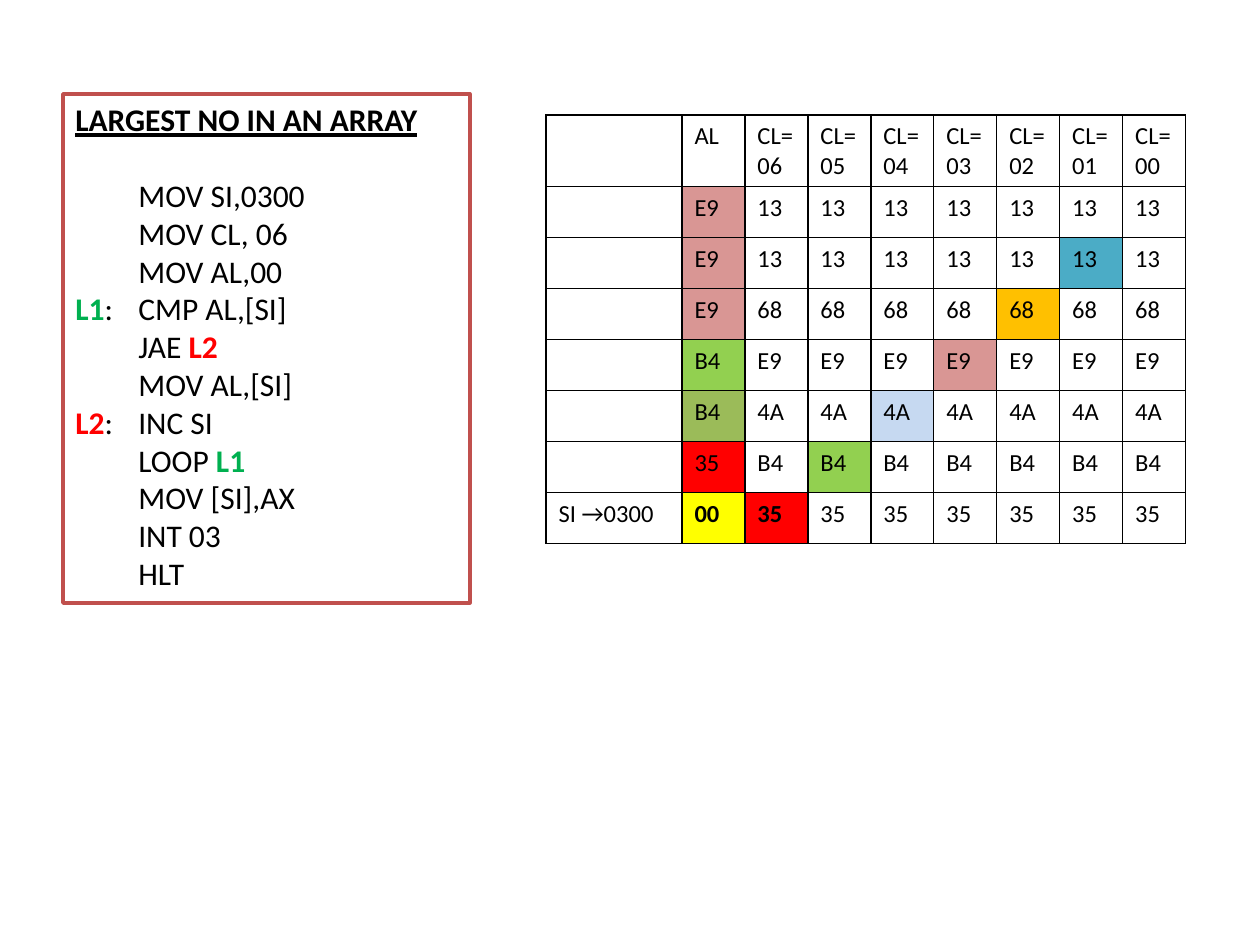
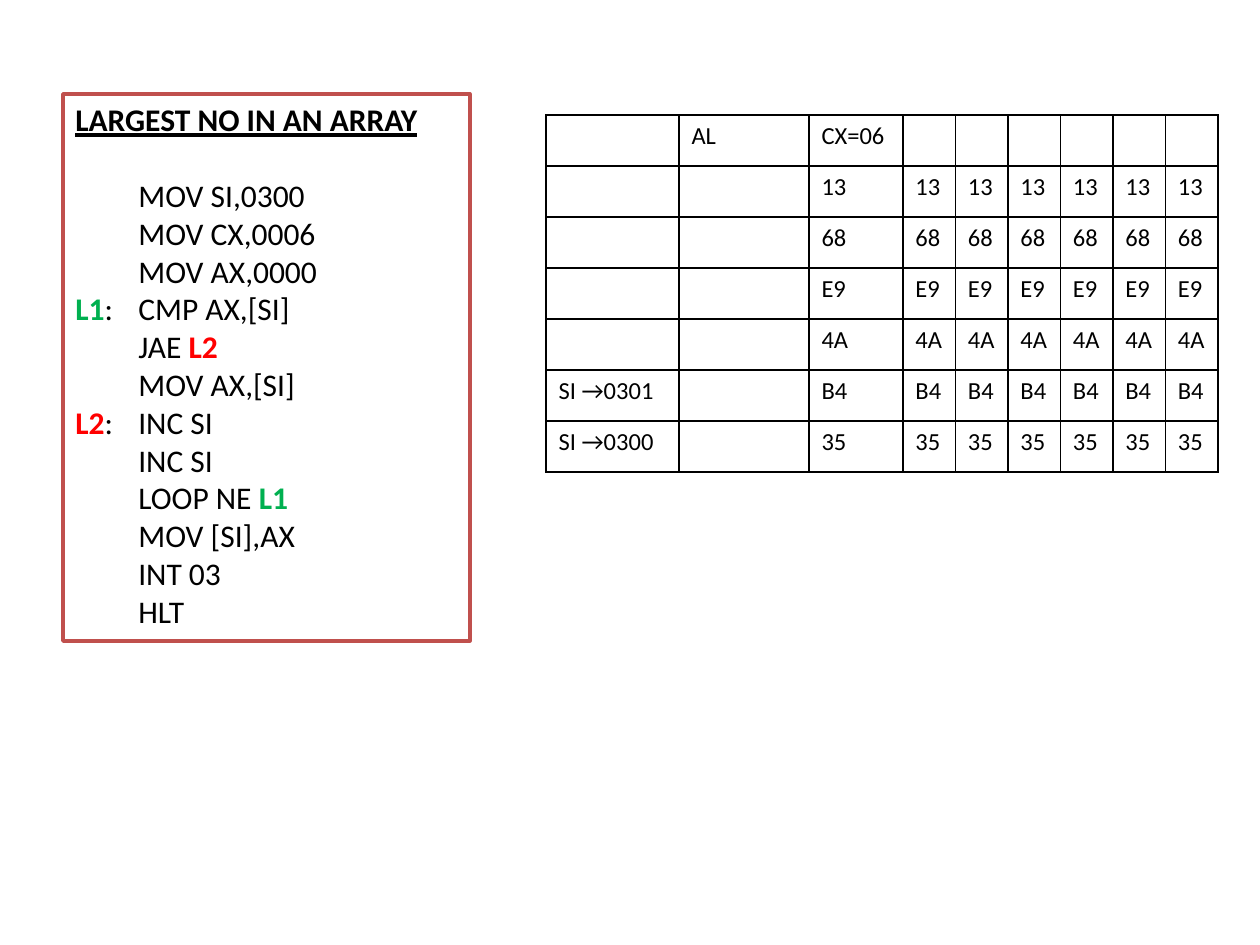
from lxml import etree
from pptx import Presentation, util as u
from pptx.dml.color import RGBColor
from pptx.enum import text
from pptx.oxml.ns import qn

PIXEL = 914400 // 126
FONT = "Calibri"
BLACK, WHITE, FRAME = "000000", "FFFFFF", "C0504D"
ROSE, LIME, RED = "D99694", "92D050", "FF0000"
LABELS = {"L1": "00B050", "L2": RED}
TITLE = "LARGEST NO IN AN ARRAY"
BOX_LEFT, BOX_TOP, BOX_WIDTH = 63, 94, 407
TABLE_LEFT, TABLE_TOP, ROW_HEIGHT = 546, 115, 51
LINE_HEIGHT, BOX_PADDING = 38, 15

SLIDES = [
    {
        "code": [
            ("", "MOV SI,0300", ""),
            ("", "MOV CL, 06", ""),
            ("", "MOV AL,00", ""),
            ("L1", "CMP AL,[SI]", ""),
            ("", "JAE ", "L2"),
            ("", "MOV AL,[SI]", ""),
            ("L2", "INC SI", ""),
            ("", "LOOP ", "L1"),
            ("", "MOV [SI],AX", ""),
            ("", "INT 03", ""),
            ("", "HLT", ""),
        ],
        "header": ["", "AL"] + [f"CL=\n{count:02}" for count in range(6, -1, -1)],
        "rows": [
            ("", "E9", "13"),
            ("", "E9", "13"),
            ("", "E9", "68"),
            ("", "B4", "E9"),
            ("", "B4", "4A"),
            ("", "35", "B4"),
            ("SI →0300", "00", "35"),
        ],
        "widths": [136] + [63] * 8,
        "header_height": 71,
        "fills": {
            (1, 1): ROSE, (2, 1): ROSE, (3, 1): ROSE, (4, 1): LIME,
            (5, 1): "9BBB59", (6, 1): RED, (7, 1): "FFFF00",
            (2, 7): "4BACC6", (3, 6): "FFC000", (4, 5): ROSE,
            (5, 4): "C6D9F1", (6, 3): LIME, (7, 2): RED,
        },
        "bold": {(7, 1), (7, 2)},
    },
    {
        "code": [
            ("", "MOV SI,0300", ""),
            ("", "MOV CX,0006", ""),
            ("", "MOV AX,0000", ""),
            ("L1", "CMP AX,[SI]", ""),
            ("", "JAE ", "L2"),
            ("", "MOV AX,[SI]", ""),
            ("L2", "INC SI", ""),
            ("", "INC SI", ""),
            ("", "LOOP NE ", "L1"),
            ("", "MOV [SI],AX", ""),
            ("", "INT 03", ""),
            ("", "HLT", ""),
        ],
        "header": ["", "AL", "CX=06"] + [""] * 6,
        "rows": [
            ("", "", "13"),
            ("", "", "68"),
            ("", "", "E9"),
            ("", "", "4A"),
            ("SI →0301", "", "B4"),
            ("SI →0300", "", "35"),
        ],
        "widths": [133, 130, 94] + [52.5] * 6,
        "header_height": ROW_HEIGHT,
        "fills": {},
        "bold": set(),
    },
]


def px(length):
    return u.Emu(round(length * PIXEL))


def color(value):
    return RGBColor.from_string(value)


def write(para, words, size=18, ink=BLACK, bold=False, underline=False):
    span = para.add_run()
    span.text = words
    font = span.font
    font.name, font.size = FONT, u.Pt(size)
    font.bold, font.underline = bold, underline
    font.color.rgb = color(ink)


def add_code(page, code):
    height = LINE_HEIGHT * (len(code) + 2) + BOX_PADDING
    box = page.shapes.add_textbox(px(BOX_LEFT), px(BOX_TOP), px(BOX_WIDTH), px(height))
    box.fill.solid()
    box.fill.fore_color.rgb = color(WHITE)
    box.line.color.rgb = color(FRAME)
    box.line.width = u.Pt(2)
    frame = box.text_frame
    frame.word_wrap = True
    frame.vertical_anchor = text.MSO_ANCHOR.TOP
    title = frame.paragraphs[0]
    title.space_after = px(LINE_HEIGHT)
    write(title, TITLE, bold=True, underline=True)
    for label, instruction, target in code:
        para = frame.add_paragraph()
        if label:
            write(para, label, ink=LABELS[label], bold=True)
            write(para, ":")
        write(para, "\t" + instruction)
        if target:
            write(para, target, ink=LABELS[target], bold=True)


def add_borders(cell):
    properties = cell._tc.get_or_add_tcPr()
    for index, side in enumerate(("lnL", "lnR", "lnT", "lnB")):
        line = etree.Element(qn("a:" + side), w=str(u.Pt(1)))
        fill = etree.SubElement(line, qn("a:solidFill"))
        etree.SubElement(fill, qn("a:srgbClr"), val=BLACK)
        properties.insert(index, line)


def add_memory(page, header, rows, widths, header_height, fills, bold):
    grid = [header] + [[pointer, largest] + [value] * 7 for pointer, largest, value in rows]
    heights = [header_height] + [ROW_HEIGHT] * len(rows)
    table = page.shapes.add_table(
        len(grid), len(widths), px(TABLE_LEFT), px(TABLE_TOP), px(sum(widths)), px(sum(heights))
    ).table
    table.first_row = table.horz_banding = False
    for column, width in zip(table.columns, widths):
        column.width = px(width)
    for row, height in zip(table.rows, heights):
        row.height = px(height)
    for r, values in enumerate(grid):
        for c, value in enumerate(values):
            cell = table.cell(r, c)
            cell.fill.solid()
            cell.fill.fore_color.rgb = color(fills.get((r, c), WHITE))
            add_borders(cell)
            frame = cell.text_frame
            frame.paragraphs[0].font.size = u.Pt(14)
            for number, words in enumerate(value.split("\n") if value else []):
                para = frame.add_paragraph() if number else frame.paragraphs[0]
                write(para, words, size=14, bold=(r, c) in bold)


deck = Presentation()
deck.slide_width, deck.slide_height = px(1260), px(945)
for content in SLIDES:
    page = deck.slides.add_slide(deck.slide_layouts[6])
    add_code(page, content["code"])
    add_memory(page, **{key: part for key, part in content.items() if key != "code"})
deck.save("out.pptx")
